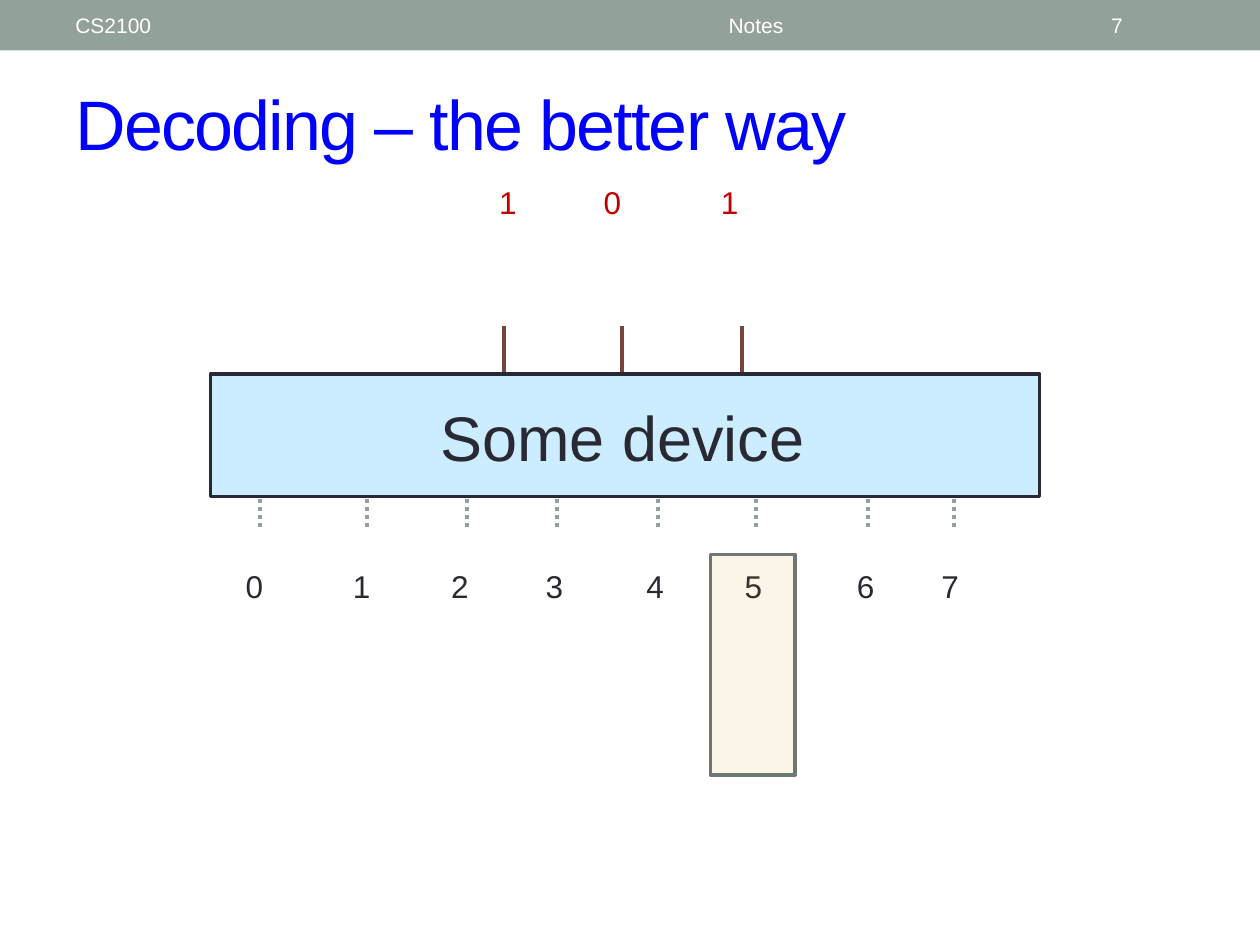
from typing import NamedTuple

from lxml import etree
from pptx import Presentation
from pptx import util as u
from pptx.dml.color import RGBColor
from pptx.enum import dml, shapes, text
from pptx.oxml.ns import qn

INK, RED, SAGE, BROWN, BLUE, WHITE = "292934", "C00000", "93A299", "79463D", "0000FF", "FFFFFF"
LEFT, CENTER = text.PP_ALIGN.LEFT, text.PP_ALIGN.CENTER
TOP, MIDDLE = text.MSO_ANCHOR.TOP, text.MSO_ANCHOR.MIDDLE


class Box(NamedTuple):
    left: float
    top: float
    width: float
    height: float

    def lengths(self) -> list[int]:
        return [u.Inches(v) for v in self]


class Label(NamedTuple):
    words: str
    box: Box
    size: int
    color: str
    align: text.PP_ALIGN = CENTER
    anchor: text.MSO_ANCHOR = TOP


class Output(NamedTuple):
    label_left: float
    wire_x: float


OUTPUTS = [
    Output(1.81, 2.06), Output(2.66, 2.91), Output(3.44, 3.71), Output(4.19, 4.42),
    Output(4.99, 5.22), Output(5.77, 6), Output(6.66, 6.89), Output(7.33, 7.57),
]
INPUT_BITS = [("1", 3.82), ("0", 4.65), ("1", 5.58)]
INPUT_WIRES = [4, 4.94, 5.89]


def rgb(color: str) -> RGBColor:
    return RGBColor.from_string(color)


def add_label(s, label: Label):
    sp = s.shapes.add_textbox(*label.box.lengths())
    tf = sp.text_frame
    tf.word_wrap = True
    tf.vertical_anchor = label.anchor
    p = tf.paragraphs[0]
    p.text = label.words
    p.alignment = label.align
    p.font.name = "Arial"
    p.font.size = u.Pt(label.size)
    p.font.color.rgb = rgb(label.color)
    return sp


def add_digit(s, digit: str, left: float, top: float, color: str) -> None:
    add_label(s, Label(digit, Box(left, top, 0.42, 0.4), 18, color))


def add_rect(s, box: Box, fill: str, line: str | None = None, alpha: int = 100) -> None:
    sp = s.shapes.add_shape(shapes.MSO_SHAPE.RECTANGLE, *box.lengths())
    sp.shadow.inherit = False
    sp.fill.solid()
    sp.fill.fore_color.rgb = rgb(fill)
    if alpha < 100:
        clr = sp.fill._xPr.find(qn("a:solidFill"))[0]
        etree.SubElement(clr, qn("a:alpha")).set("val", str(alpha * 1000))
    if line:
        sp.line.color.rgb = rgb(line)
        sp.line.width = u.Pt(2.08)
    else:
        sp.line.fill.background()


def add_wire(s, x: float, start: float, end: float, color: str, dotted: bool = False) -> None:
    c = s.shapes.add_connector(
        shapes.MSO_CONNECTOR.STRAIGHT, u.Inches(x), u.Inches(start), u.Inches(x), u.Inches(end))
    c.line.color.rgb = rgb(color)
    c.line.width = u.Pt(2.25)
    if dotted:
        c.line.dash_style = dml.MSO_LINE.ROUND_DOT
    etree.SubElement(c._element.spPr, qn("a:effectLst"))


def add_header(s) -> None:
    add_rect(s, Box(0, 0, 10, 0.4), SAGE)
    for words, left, width, align in [
        ("CS2100", 0.5, 3.17, LEFT), ("Notes", 3.75, 4.5, CENTER), ("7", 8.72, 0.78, LEFT),
    ]:
        add_label(s, Label(words, Box(left, 0.02, width, 0.36), 12, WHITE, align, MIDDLE))


def add_title(s) -> None:
    sp = add_label(
        s, Label("Decoding – the better way", Box(0.5, 0.58, 9, 0.79), 40, BLUE, LEFT, MIDDLE))
    r = sp.text_frame.paragraphs[0].runs[0]
    r._r.get_or_add_rPr().set("spc", "-100")


def add_decoder(s) -> None:
    for bit, left in INPUT_BITS:
        add_digit(s, bit, left, 1.4, RED)
    for number, output in enumerate(OUTPUTS):
        add_digit(s, str(number), output.label_left, 4.45, INK)
        add_wire(s, output.wire_x, 4.18, 3.1, SAGE, dotted=True)
    add_rect(s, Box(5.64, 4.4, 0.67, 1.75), "CC9900", "6D7871", alpha=9)
    for x in INPUT_WIRES:
        add_wire(s, x, 2.59, 3.34, BROWN)
    add_rect(s, Box(1.67, 2.97, 6.58, 0.97), "CCECFF", INK)
    add_label(s, Label("Some device", Box(3.04, 3.11, 3.8, 0.71), 36, INK))


def main() -> None:
    prs = Presentation()
    prs.slide_width, prs.slide_height = u.Inches(10), u.Inches(7.5)
    s = prs.slides.add_slide(prs.slide_layouts[6])
    add_header(s)
    add_title(s)
    add_decoder(s)
    prs.save("out.pptx")


if __name__ == "__main__":
    main()
